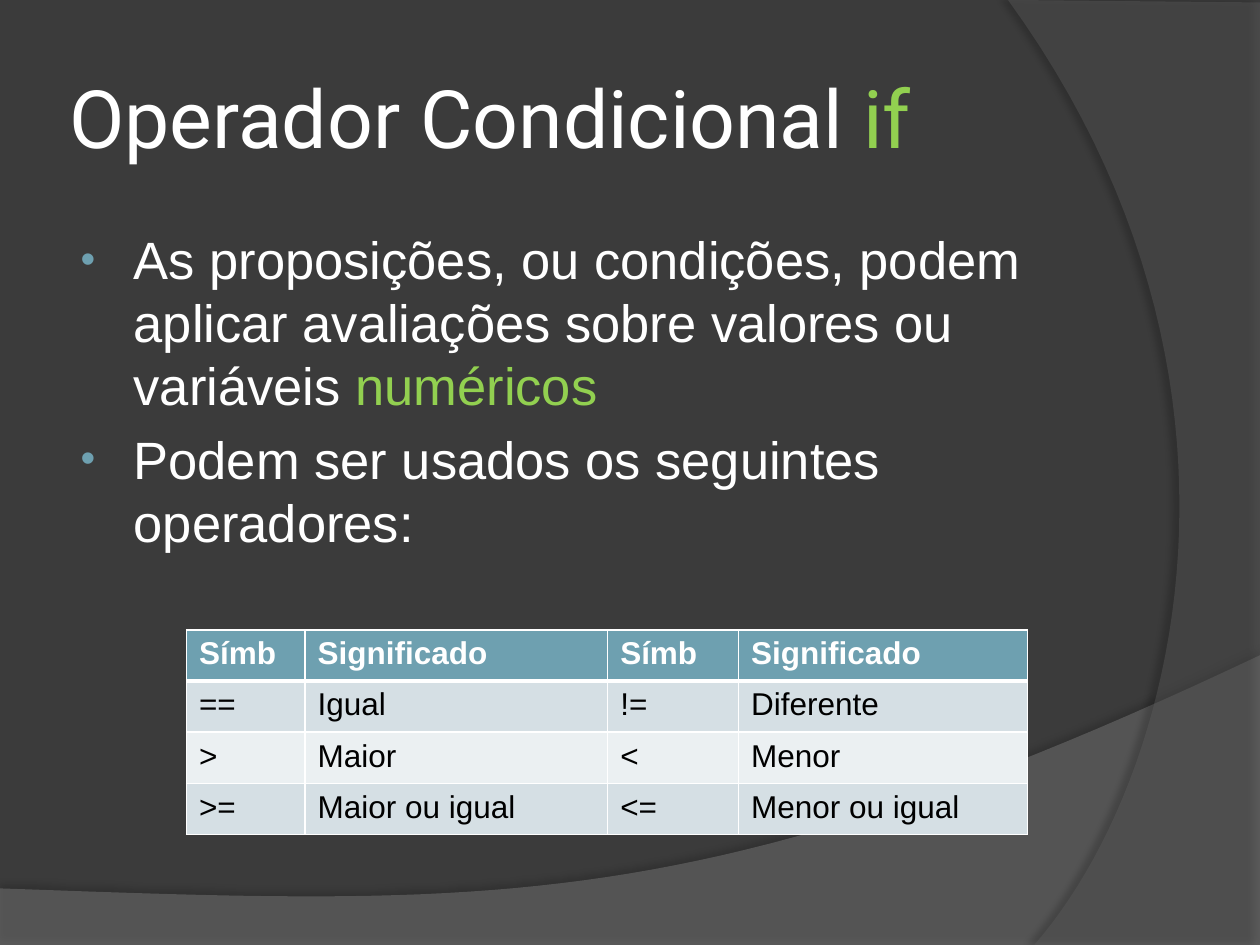
from dataclasses import dataclass

from lxml import etree
from pptx import Presentation
from pptx.dml.color import RGBColor
from pptx.enum.text import MSO_ANCHOR, MSO_AUTO_SIZE, PP_ALIGN
from pptx.oxml.ns import qn
from pptx.util import Cm, Pt

LEFT = PP_ALIGN.LEFT
MIDDLE = MSO_ANCHOR.MIDDLE
TOP = MSO_ANCHOR.TOP
NO_FIT = MSO_AUTO_SIZE.NONE


@dataclass(frozen=True)
class Theme:
    back: str = "3B3B3B"
    white: str = "FFFFFF"
    black: str = "000000"
    green: str = "92D050"
    teal: str = "6EA0B0"
    bands: tuple = ("D5DFE4", "EBF0F2")
    low: str = "7F7F7F"
    side: str = "5E5E5E"
    head: str = "Roboto"
    text: str = "Arial"
    big: int = 46
    mid: int = 30
    small: int = 18


def put(item, values):
    for name, value in values.items():
        setattr(item, name, value)


def node(parent, tag, **attrs):
    return etree.SubElement(parent, qn(tag), {k: str(v) for k, v in attrs.items()})


def bend(a, b, c, d, steps=48):
    """Points along a cubic curve from a to d."""
    points = []
    for i in range(steps + 1):
        t = i / steps
        u = 1 - t
        weights = (u**3, 3 * u * u * t, 3 * u * t * t, t**3)
        points.append(tuple(sum(w * p[axis] for w, p in zip(weights, (a, b, c, d)))
                            for axis in (0, 1)))
    return points


class Deck:
    def __init__(self, theme):
        self.theme = theme
        self.file = Presentation()
        put(self.file, {"slide_width": Cm(25.4), "slide_height": Cm(19.05)})
        self.slide = self.file.slides.add_slide(self.file.slide_layouts[1])
        fill = self.slide.background.fill
        fill.solid()
        fill.fore_color.rgb = RGBColor.from_string(theme.back)

    def wave(self, points, color, alpha, shade, dist, angle):
        """Translucent outline with a shadow, placed behind the text."""
        spots = [(Cm(x), Cm(y)) for x, y in points]
        pen = self.slide.shapes.build_freeform(*spots[0])
        pen.add_line_segments(spots[1:], close=True)
        shape = pen.convert_to_shape()
        shape.line.fill.background()
        shape.fill.solid()
        shape.fill.fore_color.rgb = RGBColor.from_string(color)
        props = shape._element.spPr
        node(props.find(".//" + qn("a:srgbClr")), "a:alpha", val=alpha * 1000)
        cast = node(node(props, "a:effectLst"), "a:outerShdw", blurRad=Pt(4),
                    dist=Pt(dist), dir=angle * 60000, algn="ctr", rotWithShape=0)
        tone = node(cast, "a:srgbClr", val=self.theme.black)
        node(tone, "a:alpha", val=shade * 1000)
        self.slide.shapes.title._element.addprevious(shape._element)

    def words(self, para, runs, font, size, bold=False):
        para.alignment = LEFT
        for text, color in runs:
            run = para.add_run()
            run.text = text
            put(run.font, {"name": font, "size": Pt(size), "bold": bold})
            run.font.color.rgb = RGBColor.from_string(color)

    def frame(self, shape, box, anchor):
        """Place a placeholder and return its text frame."""
        put(shape, dict(zip(("left", "top", "width", "height"), map(Cm, box))))
        put(shape.text_frame, {"vertical_anchor": anchor, "auto_size": NO_FIT})
        return shape.text_frame

    def title(self, box, runs):
        frame = self.frame(self.slide.shapes.title, box, MIDDLE)
        sides = ("margin_left", "margin_top", "margin_right", "margin_bottom")
        put(frame, dict.fromkeys(sides, Cm(0.13)))
        self.words(frame.paragraphs[0], runs, self.theme.head, self.theme.big)

    def body(self, box, items):
        frame = self.frame(self.slide.placeholders[1], box, TOP)
        for i, runs in enumerate(items):
            para = frame.add_paragraph() if i else frame.paragraphs[0]
            self.words(para, runs, self.theme.text, self.theme.mid)
            props = para._p.get_or_add_pPr()
            props.set("marL", str(Cm(1.17)))
            props.set("indent", str(Cm(-1.07)))
            node(node(props, "a:buClr"), "a:srgbClr", val=self.theme.teal)
            node(props, "a:buSzPct", val=80000)
            node(props, "a:buFont", typeface=self.theme.text)
            node(props, "a:buChar", char="•")

    def edge(self, cell, row):
        """White cell borders, with a thick rule below the header row."""
        widths = {"L": 1, "R": 1, "T": 3 if row == 1 else 1, "B": 1 if row else 3}
        props = cell._tc.get_or_add_tcPr()
        for i, (side, width) in enumerate(widths.items()):
            line = node(props, "a:ln" + side, w=Pt(width))
            node(node(line, "a:solidFill"), "a:srgbClr", val=self.theme.white)
            props.insert(i, line)

    def table(self, left, top, widths, high, rows):
        theme = self.theme
        grid = self.slide.shapes.add_table(
            len(rows), len(widths), Cm(left), Cm(top),
            Cm(sum(widths)), Cm(high * len(rows))).table
        for col, width in zip(grid.columns, widths):
            col.width = Cm(width)
        for r, row in enumerate(rows):
            shade = theme.bands[(r - 1) % 2] if r else theme.teal
            ink = theme.black if r else theme.white
            for c, text in enumerate(row):
                cell = grid.cell(r, c)
                cell.fill.solid()
                cell.fill.fore_color.rgb = RGBColor.from_string(shade)
                self.words(cell.text_frame.paragraphs[0], [(text, ink)],
                           theme.text, theme.small, bold=r == 0)
                self.edge(cell, r)


def main():
    theme = Theme()
    deck = Deck(theme)
    deck.wave([(0, 19.05), (25.4, 19.05)]
              + bend((25.4, 13.21), (14.2, 18.52), (9.93, 18.26), (0, 17.91)),
              theme.low, 45, shade=35, dist=3.5, angle=270)
    deck.wave([(25.4, 0.05), (25.4, 19.05)]
              + bend((20.85, 19.05), (23.75, 15.72), (25.86, 7.62), (20.32, 0)),
              theme.side, 40, shade=45, dist=4, angle=180)
    deck.title((1.27, 0.76, 20.75, 3.18),
               [("Operador Condicional ", theme.white), ("if", theme.green)])
    deck.body((1.27, 4.45, 20.75, 12.57), [
        [("As proposições, ou condições, podem aplicar avaliações sobre "
          "valores ou variáveis ", theme.white), ("numéricos", theme.green)],
        [("Podem ser usados os seguintes operadores:", theme.white)],
    ])
    deck.table(3.76, 12.7, (2.39, 6.1, 2.64, 5.82), 1.03, [
        ("Símb", "Significado") * 2,
        ("==", "Igual", "!=", "Diferente"),
        (">", "Maior", "<", "Menor"),
        (">=", "Maior ou igual", "<=", "Menor ou igual"),
    ])
    deck.file.save("out.pptx")


if __name__ == "__main__":
    main()
